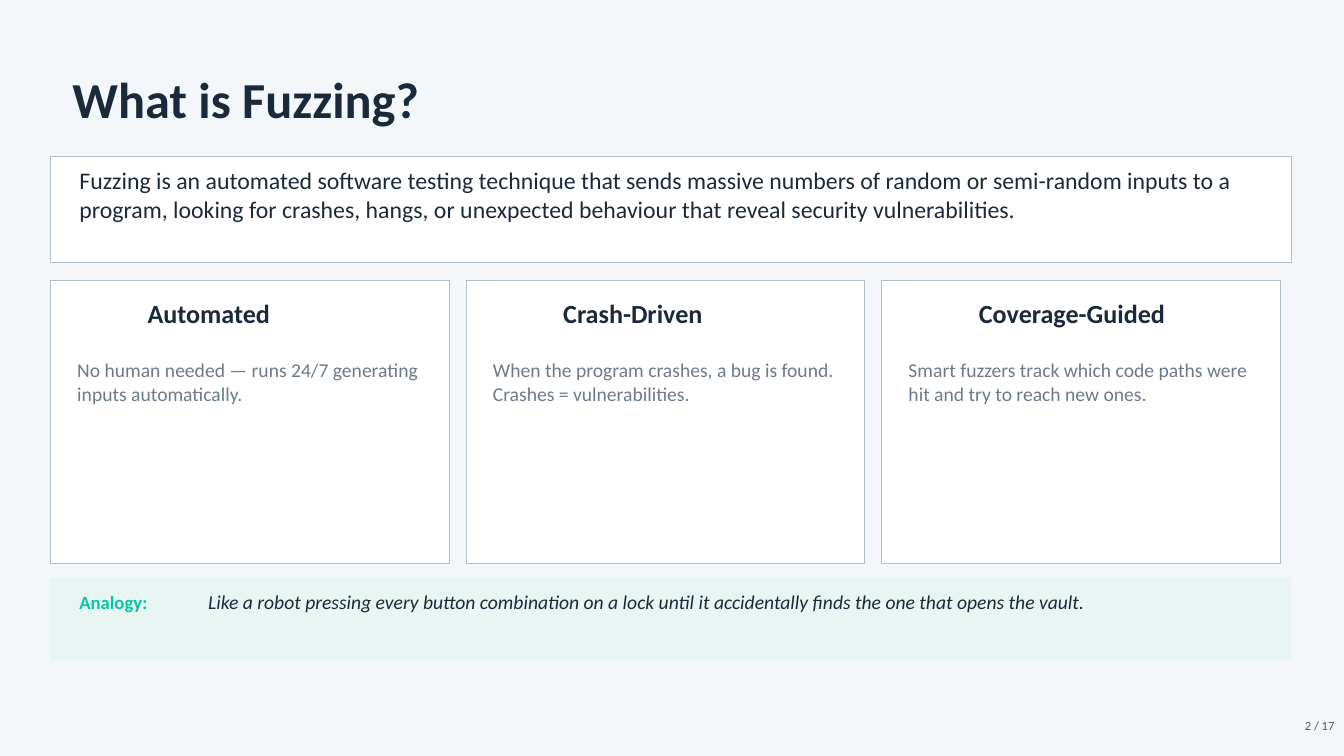
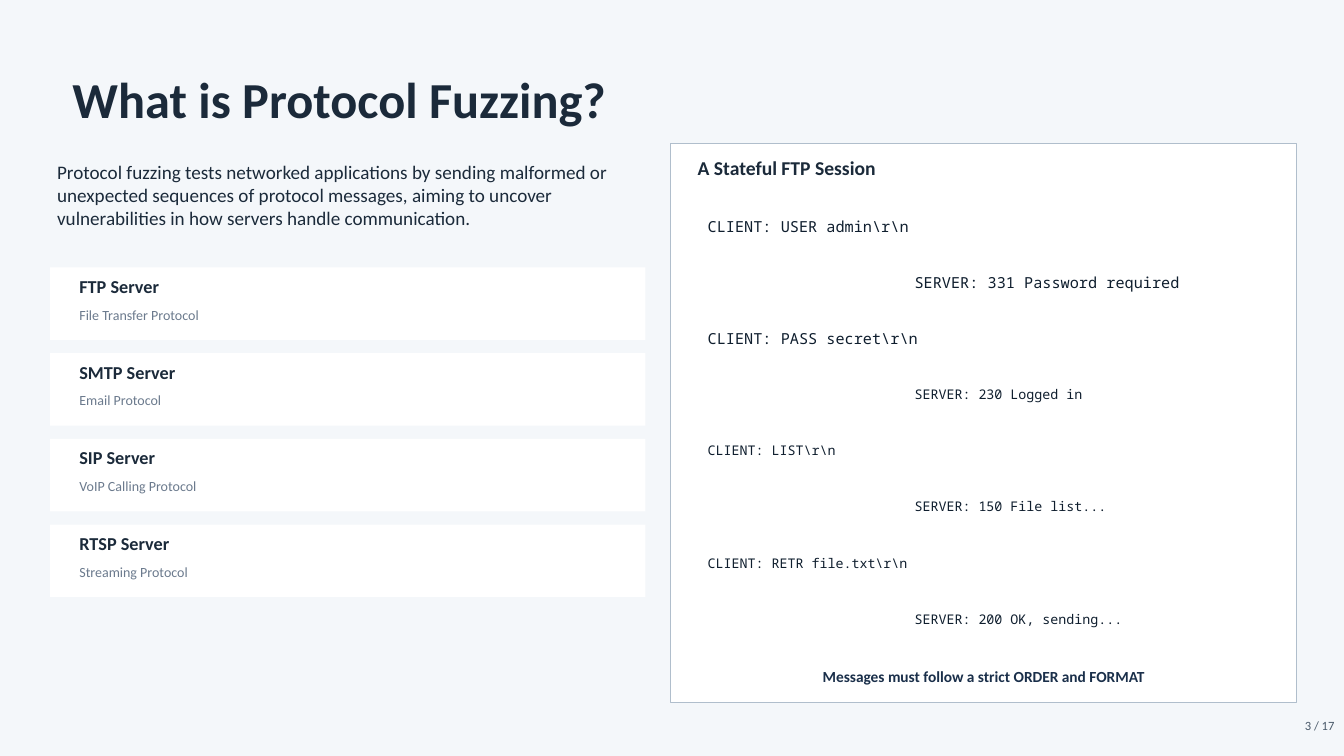
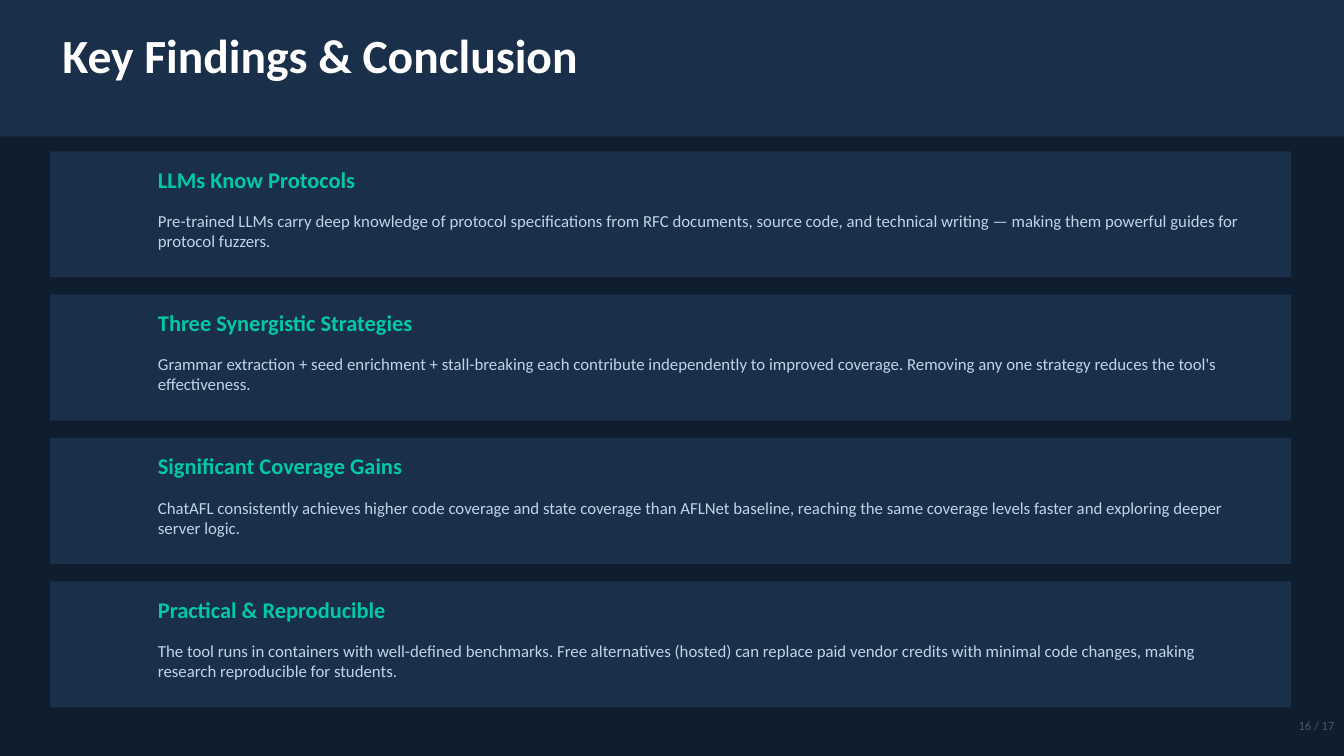
from pptx import Presentation
from pptx.dml.color import RGBColor
from pptx.enum.shapes import MSO_SHAPE
from pptx.enum.text import PP_ALIGN
from pptx.util import Cm, Pt

# Shared look
INK, NAVY, MIDNIGHT = "1B2A3A", "1A2F4A", "0F1E2E"
TEAL, GRAY, SLATE, ICE = "00C9A7", "6B7A8D", "4A5A6A", "C0D4E8"
WHITE, PALE, MINT, BORDER = "FFFFFF", "F4F7FA", "E8F5F2", "B0BECC"
SANS, MONO = "Calibri", "Noto Sans Mono"
LEFT, FULL_WIDTH = 1.9, 46.9
LINE_HEIGHT = 1.2
color = RGBColor.from_string


def add_panel(slide, left, top, width, height, fill, border=None):
    shape = slide.shapes.add_shape(
        MSO_SHAPE.RECTANGLE, Cm(left), Cm(top), Cm(width), Cm(height))
    shape.shadow.inherit = False
    shape.fill.solid()
    shape.fill.fore_color.rgb = color(fill)
    if border:
        shape.line.color.rgb = color(border)
        shape.line.width = Pt(0.75)
    else:
        shape.line.fill.background()


def add_text(slide, left, top, width, height, text, size, text_color,
             bold=False, italic=False, font=SANS, align=PP_ALIGN.LEFT):
    box = slide.shapes.add_textbox(Cm(left), Cm(top), Cm(width), Cm(height))
    frame = box.text_frame
    frame.word_wrap = True
    frame.margin_left = frame.margin_right = 0
    frame.margin_top = frame.margin_bottom = 0
    paragraph = frame.paragraphs[0]
    paragraph.alignment = align
    paragraph.line_spacing = Pt(size * LINE_HEIGHT)
    run = paragraph.add_run()
    run.text = text
    run.font.name = font
    run.font.size = Pt(size)
    run.font.bold = bold
    run.font.italic = italic
    run.font.color.rgb = color(text_color)


presentation = Presentation()
presentation.slide_width = Cm(50.8)
presentation.slide_height = Cm(28.58)

# Backgrounds and page numbers
slides = []
for background, number in [(PALE, 2), (PALE, 3), (MIDNIGHT, 16)]:
    slide = presentation.slides.add_slide(presentation.slide_layouts[6])
    slide.background.fill.solid()
    slide.background.fill.fore_color.rgb = color(background)
    add_text(slide, 47.9, 27.13, 2.54, 0.97, f"{number} / 17", 13.5, SLATE,
             align=PP_ALIGN.RIGHT)
    slides.append(slide)
fuzzing, protocol, conclusion = slides

# Titles of the light slides
for slide, title in [(fuzzing, "What is Fuzzing?"),
                     (protocol, "What is Protocol Fuzzing?")]:
    add_text(slide, 2.74, 2.57, 37.6, 2.74, title, 54, INK, bold=True)

# Fuzzing: definition
add_panel(fuzzing, LEFT, 5.92, FULL_WIDTH, 4, WHITE, BORDER)
add_text(fuzzing, 3, 6.27, 44.48, 2.26,
         "Fuzzing is an automated software testing technique that sends massive "
         "numbers of random or semi-random inputs to a program, looking for crashes, "
         "hangs, or unexpected behaviour that reveal security vulnerabilities.",
         25.5, INK)

# Fuzzing: three traits
traits = [
    ("Automated", "No human needed — runs 24/7 generating inputs automatically."),
    ("Crash-Driven",
     "When the program crashes, a bug is found. Crashes = vulnerabilities."),
    ("Coverage-Guided",
     "Smart fuzzers track which code paths were hit and try to reach new ones."),
]
for index, (name, description) in enumerate(traits):
    left = LEFT + 15.71 * index
    add_panel(fuzzing, left, 10.6, 15.07, 10.68, WHITE, BORDER)
    add_text(fuzzing, left + 3.68, 11.25, 10.16, 1.3, name, 28, INK, bold=True)
    add_text(fuzzing, left + 1.02, 13.54, 13.03, 1.88, description, 21, GRAY)

# Fuzzing: analogy
add_panel(fuzzing, LEFT, 21.84, FULL_WIDTH, 3.12, MINT)
add_text(fuzzing, 3, 22.33, 4.83, 0.97, "Analogy:", 20, TEAL, bold=True)
add_text(fuzzing, 7.87, 22.3, 39.52, 1.02,
         "Like a robot pressing every button combination on a lock until it "
         "accidentally finds the one that opens the vault.", 21, INK, italic=True)

# Protocol fuzzing: introduction
add_text(protocol, 2.16, 6.05, 22, 2.64,
         "Protocol fuzzing tests networked applications by sending malformed or "
         "unexpected sequences of protocol messages, aiming to uncover "
         "vulnerabilities in how servers handle communication.", 20.5, INK)

# Protocol fuzzing: servers
servers = [
    ("FTP Server", "File Transfer Protocol"),
    ("SMTP Server", "Email Protocol"),
    ("SIP Server", "VoIP Calling Protocol"),
    ("RTSP Server", "Streaming Protocol"),
]
for index, (name, purpose) in enumerate(servers):
    top = 10.11 + 3.24 * index
    add_panel(protocol, LEFT, top, 22.5, 2.74, WHITE)
    add_text(protocol, 3, top + 0.3, 10.16, 1.02, name, 19.5, INK, bold=True)
    add_text(protocol, 3, top + 1.47, 10.16, 0.81, purpose, 15, GRAY)

# Protocol fuzzing: session, client on the left and server on the right
add_panel(protocol, 25.35, 5.41, 23.65, 21.16, WHITE, BORDER)
add_text(protocol, 26.37, 5.89, 21.62, 1.4, "A Stateful FTP Session", 21, INK,
         bold=True)
messages = [
    r"CLIENT: USER admin\r\n",
    "SERVER: 331 Password required",
    r"CLIENT: PASS secret\r\n",
    "SERVER: 230 Logged in",
    r"CLIENT: LIST\r\n",
    "SERVER: 150 File list...",
    r"CLIENT: RETR file.txt\r\n",
    "SERVER: 200 OK, sending...",
]
for index, message in enumerate(messages):
    left = 26.75 if message.startswith("CLIENT") else 34.57
    size = 16.3 if index < 3 else 14.3
    add_text(protocol, left, 8.2 + 2.13 * index, 12.45, 0.8, message, size,
             MIDNIGHT, font=MONO)
add_text(protocol, 26.37, 25.22, 21.62, 1.17,
         "Messages must follow a strict ORDER and FORMAT", 16.5, NAVY, bold=True,
         align=PP_ALIGN.CENTER)

# Conclusion: title band
add_panel(conclusion, 0, 0, 50.8, 5.16, NAVY)
add_text(conclusion, 2.36, 0.97, 45.24, 2.74, "Key Findings & Conclusion", 51,
         WHITE, bold=True)

# Conclusion: findings
findings = [
    ("LLMs Know Protocols",
     "Pre-trained LLMs carry deep knowledge of protocol specifications from RFC "
     "documents, source code, and technical writing — making them powerful guides "
     "for protocol fuzzers."),
    ("Three Synergistic Strategies",
     "Grammar extraction + seed enrichment + stall-breaking each contribute "
     "independently to improved coverage. Removing any one strategy reduces the "
     "tool's effectiveness."),
    ("Significant Coverage Gains",
     "ChatAFL consistently achieves higher code coverage and state coverage than "
     "AFLNet baseline, reaching the same coverage levels faster and exploring "
     "deeper server logic."),
    ("Practical & Reproducible",
     "The tool runs in containers with well-defined benchmarks. Free alternatives "
     "(hosted) can replace paid vendor credits with minimal code changes, making "
     "research reproducible for students."),
]
for index, (name, explanation) in enumerate(findings):
    top = 5.72 + 5.42 * index
    add_panel(conclusion, LEFT, top, FULL_WIDTH, 4.76, NAVY)
    add_text(conclusion, 5.97, top + 0.55, 14.73, 1.45, name, 24, TEAL, bold=True)
    add_text(conclusion, 5.97, top + 2.24, 41.05, 2.13, explanation, 18, ICE)

presentation.save("out.pptx")
